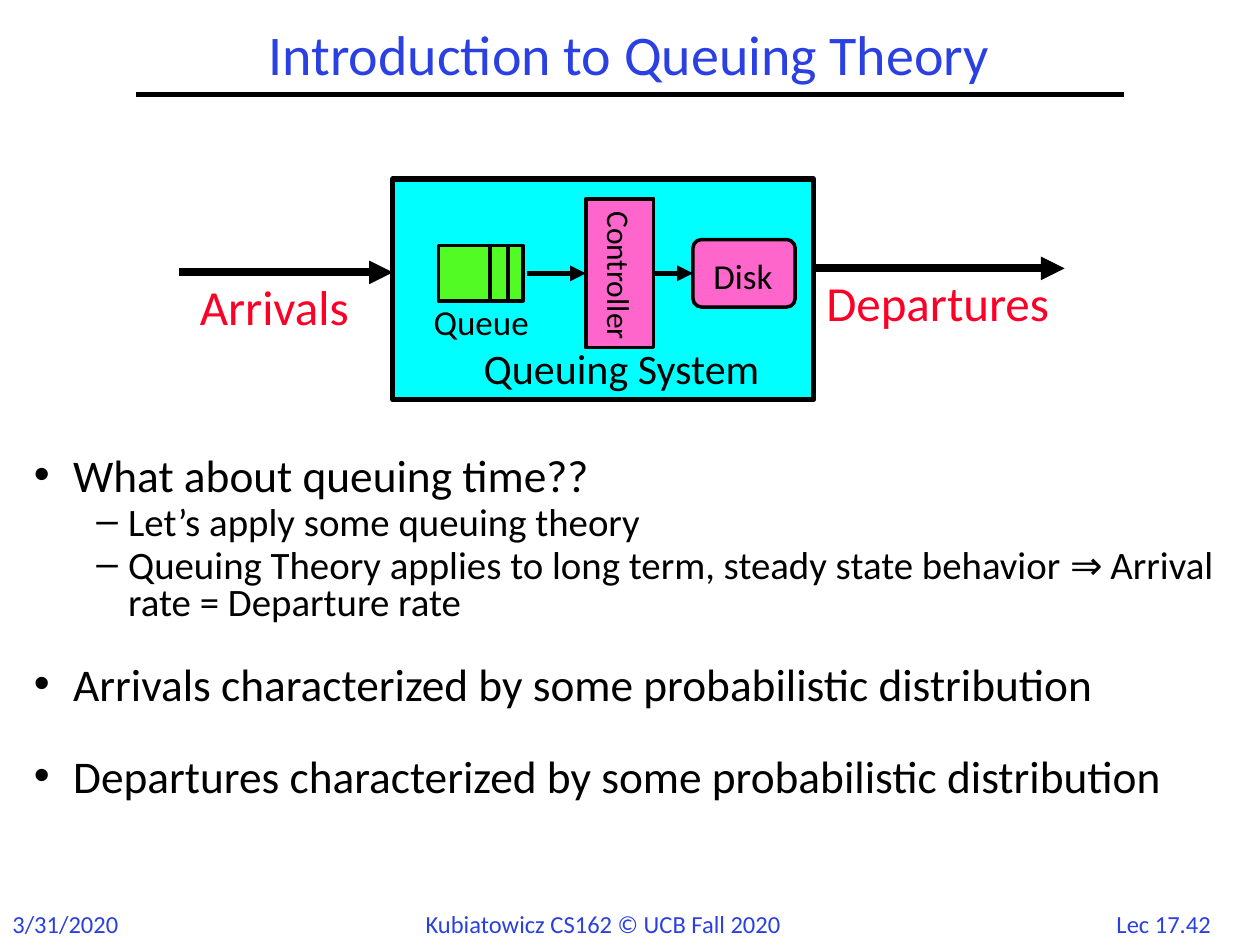
"""Build the slide that introduces queuing theory."""
from lxml.etree import SubElement
from pptx import Presentation
from pptx.dml.color import RGBColor as Rgb
from pptx.enum.shapes import MSO_CONNECTOR as Link, MSO_SHAPE as Shape
from pptx.enum.text import MSO_ANCHOR as Anchor, MSO_AUTO_SIZE as Fit, PP_ALIGN as Align
from pptx.oxml.ns import qn
from pptx.util import Cm, Pt

HUES = {"ink": "000000", "blue": "2A40E2", "red": "FC0128",
        "cyan": "00FFFF", "pink": "FF66CC", "green": "53FB25"}


def apply(item, **vals):
    for key, val in vals.items():
        setattr(item, key, val)


class Deck:
    """Hold the style and the current slide."""

    def __init__(self, face):
        self.face = face
        self.show = Presentation()
        apply(self.show, slide_width=Cm(25.4), slide_height=Cm(19.05))
        self.slide = self.show.slides.add_slide(self.show.slide_layouts[1])

    def place(self, item, box):
        apply(item, **dict(zip(("left", "top", "width", "height"), map(Cm, box))))

    def words(self, para, text, size, hue="ink", **form):
        apply(para, **form)
        run = para.add_run()
        run.text = text
        apply(run.font, name=self.face, size=Pt(size))
        run.font.color.rgb = Rgb.from_string(HUES[hue])

    def title(self, text, box):
        item = self.slide.shapes.title
        self.place(item, box)
        apply(item.text_frame, vertical_anchor=Anchor.MIDDLE, auto_size=Fit.NONE)
        self.words(item.text_frame.paragraphs[0], text, 32, "blue",
                   alignment=Align.CENTER, line_spacing=0.9)

    def points(self, rows, box):
        item = self.slide.placeholders[1]
        self.place(item, box)
        frame = item.text_frame
        apply(frame, auto_size=Fit.NONE, vertical_anchor=Anchor.TOP)
        for num, (level, gap, text) in enumerate(rows):
            para = frame.add_paragraph() if num else frame.paragraphs[0]
            left, hang, size = ((0.79, 0.79, 25.9), (1.9, 0.64, 22.2))[level]
            props = para._p.get_or_add_pPr()
            props.set("marL", str(Cm(left)))
            props.set("indent", str(-Cm(hang)))
            self.words(para, text, size, level=level, line_spacing=0.8,
                       space_before=Pt(gap))

    def label(self, text, box, size, hue="ink", pad=(0.25, 0.13), **form):
        frame = self.slide.shapes.add_textbox(*map(Cm, box)).text_frame
        side, edge = map(Cm, pad)
        apply(frame, word_wrap=False, auto_size=Fit.SHAPE_TO_FIT_TEXT, margin_left=side,
              margin_right=side, margin_top=edge, margin_bottom=edge)
        self.words(frame.paragraphs[0], text, size, hue, **form)

    def block(self, box, hue, width=2, kind=Shape.RECTANGLE):
        item = self.slide.shapes.add_shape(kind, *map(Cm, box))
        item.shadow.inherit = False
        item.fill.solid()
        item.fill.fore_color.rgb = Rgb.from_string(HUES[hue])
        item.line.color.rgb = Rgb.from_string(HUES["ink"])
        item.line.width = Pt(width)
        return item

    def line(self, ends, width, head=False):
        item = self.slide.shapes.add_connector(Link.STRAIGHT, *map(Cm, ends))
        item.line.color.rgb = Rgb.from_string(HUES["ink"])
        item.line.width = Pt(width)
        props = item._element.spPr
        if head:
            SubElement(props.find(qn("a:ln")), qn("a:tailEnd"), type="triangle")
        SubElement(props, qn("a:effectLst"))
        return item


def main():
    deck = Deck("Calibri")
    deck.label("Lec 17.42", (22.15, 18.19, 2.62, 0.84), 14, "blue", alignment=Align.CENTER)
    deck.label("3/31/2020", (0, 18.19, 2.72, 0.86), 14, "blue")
    deck.label("Kubiatowicz CS162 © UCB Fall 2020", (8.33, 18.19, 8.71, 0.86), 14, "blue")
    deck.line((2.74, 1.9, 22.66, 1.9), 3)
    deck.title("Introduction to Queuing Theory", (2.74, 0.43, 19.89, 1.47))

    deck.label("Departures", (16.41, 5.36, 5.13, 1.45), 28, "red")
    deck.label("Arrivals", (3.78, 5.44, 3.63, 1.45), 28, "red")
    deck.line((16.08, 5.41, 21.46, 5.41), 4.5, True)
    deck.line((3.61, 5.49, 7.92, 5.49), 4.5, True)
    deck.block((7.92, 3.61, 8.48, 4.45), "cyan", 3)
    deck.label("Queuing System", (9.5, 6.78, 6.15, 1.27), 24)

    disk = deck.block((13.97, 4.83, 2.06, 1.36), "pink", kind=Shape.ROUNDED_RECTANGLE)
    disk.adjustments[0] = 0.125
    deck.block((8.84, 4.95, 1.7, 1.12), "green")
    for x in (9.88, 10.24):
        deck.line((x, 6.07, x, 4.93), 2)
    unit = deck.block((11.81, 4.01, 1.37, 3), "pink")
    frame = unit.text_frame
    apply(frame, word_wrap=False, vertical_anchor=Anchor.MIDDLE)
    frame._txBody.bodyPr.set("vert", "eaVert")
    deck.words(frame.paragraphs[0], "Controller", 18, alignment=Align.CENTER)
    small = {"pad": (0.18, 0.08), "line_spacing": 0.85}
    deck.label("Queue", (8.56, 6.1, 2.36, 1.63), 20, **small)
    deck.label("Disk", (14.2, 5.18, 1.68, 0.89), 20, **small)
    deck.line((10.62, 5.51, 11.81, 5.51), 3, True).end_connect(unit, 1)
    link = deck.line((13.18, 5.51, 13.97, 5.51), 3, True)
    link.begin_connect(unit, 3)
    link.end_connect(disk, 1)

    deck.points((
        (0, 0, "What about queuing time??"),
        (1, 3.3, "Let’s apply some queuing theory"),
        (1, 3.3, "Queuing Theory applies to long term, steady state behavior "
                 "⇒ Arrival rate = Departure rate"),
        (0, 24, "Arrivals characterized by some probabilistic distribution"),
        (0, 28, "Departures characterized by some probabilistic distribution"),
    ), (0.43, 9.09, 24.56, 9.14))
    deck.show.save("out.pptx")


if __name__ == "__main__":
    main()
